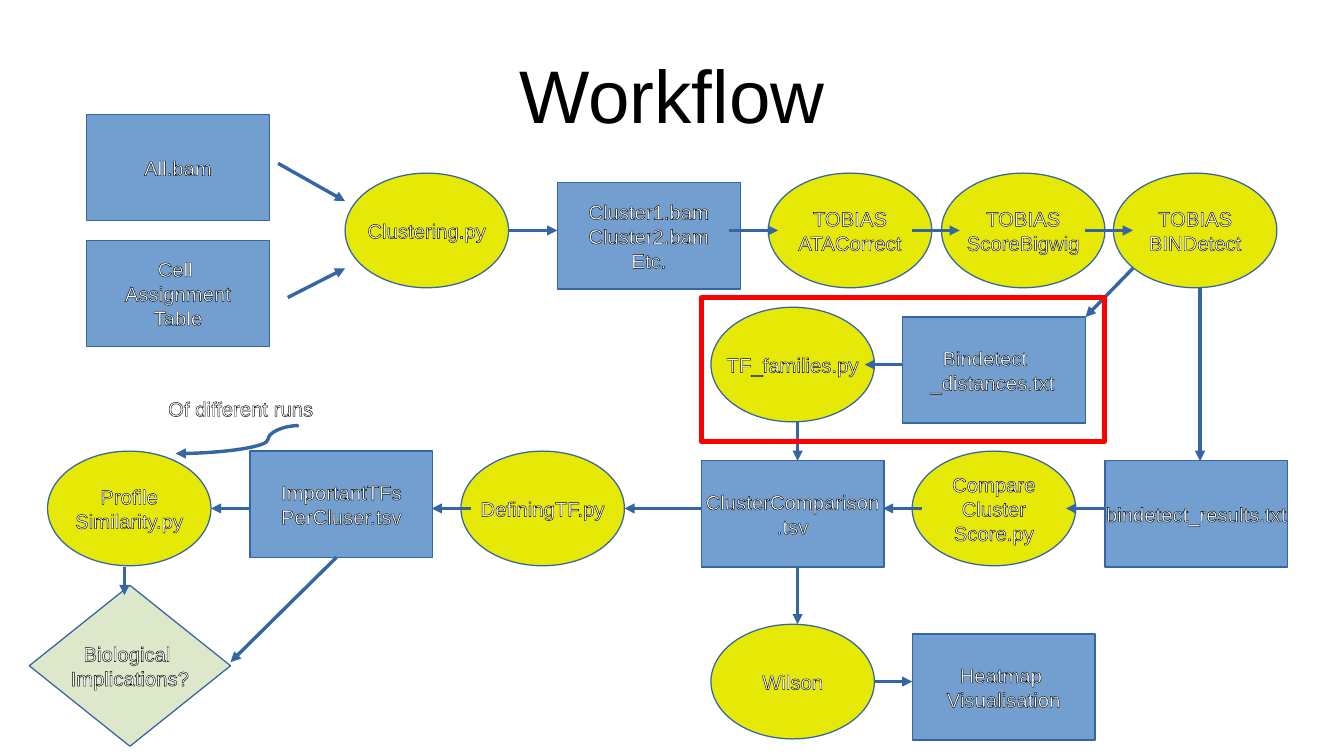
from lxml.etree import SubElement
from pptx import Presentation
from pptx.dml.color import RGBColor
from pptx.enum.shapes import MSO_CONNECTOR, MSO_SHAPE
from pptx.enum.text import MSO_ANCHOR, PP_ALIGN
from pptx.oxml.ns import qn
from pptx.util import Inches, Pt

# Content: left, top, text
TITLE = "Workflow"
FILES = [
    (0.71, 0.94, "All.bam"),
    (0.71, 1.97, "Cell \nAssignment\nTable"),
    (4.57, 1.5, "Cluster1.bam\nCluster2.bam\nEtc."),
    (9.06, 3.78, "bindetect_results.txt"),
    (5.75, 3.78, "ClusterComparison\n.tsv"),
    (7.48, 5.2, "Heatmap \nVisualisation"),
    (2.05, 3.7, "ImportantTFs\nPerCluser.tsv"),
]
DISTANCES = (7.4, 2.6, "Bindetect\n_distances.txt")
INDENTS = (0.23, 0.13)
TOOLS = [
    (2.83, 1.42, "Clustering.py"),
    (6.3, 1.42, "TOBIAS\nATACorrect"),
    (7.72, 1.42, "TOBIAS\nScoreBigwig"),
    (9.13, 1.42, "TOBIAS\nBINDetect"),
    (7.48, 3.7, "Compare\nCluster\nScore.py"),
    (5.83, 5.12, "Wilson"),
    (3.78, 3.7, "DefiningTF.py"),
    (5.83, 2.52, "TF_families.py"),
    (0.39, 3.7, "Profile\nSimilarity.py"),
]
GOAL = (0.24, 4.8, "Biological \nImplications?")
NOTE = "Of different runs"

# Arrows: from x, y to x, y
ARROWS = [
    (2.28, 1.34, 2.83, 1.65), (2.36, 2.44, 2.83, 2.2),
    (4.17, 1.89, 4.57, 1.89), (5.98, 1.89, 6.38, 1.89),
    (7.48, 1.89, 7.87, 1.89), (8.9, 1.89, 9.29, 1.89),
    (9.84, 2.36, 9.84, 3.78), (9.29, 2.2, 8.9, 2.6),
    (7.4, 2.99, 7.09, 2.99), (6.54, 3.46, 6.54, 3.78),
    (9.06, 4.17, 8.74, 4.17), (7.56, 4.17, 7.24, 4.17),
    (5.75, 4.17, 5.12, 4.17), (3.86, 4.17, 3.54, 4.17),
    (2.05, 4.17, 1.73, 4.17), (6.54, 4.65, 6.54, 5.12),
    (7.17, 5.59, 7.48, 5.59), (1.02, 4.65, 1.02, 4.88),
    (2.76, 4.57, 1.89, 5.43),
]
CURVE = (2.45, 3.49, 1.44, 3.72)

FILE_SIZE, TOOL_SIZE, GOAL_SIZE = (1.5, 0.87), (1.34, 0.94), (1.65, 1.32)
BLUE, YELLOW, GREEN, EDGE = "729FCF", "E6E905", "DDE8CB", "3465A4"

deck = Presentation()
deck.slide_width, deck.slide_height = Inches(11.02), Inches(6.2)
slide = deck.slides.add_slide(deck.slide_layouts[6])
shapes = slide.shapes


def color(code):
    return RGBColor.from_string(code)


def label(frame, text, align=PP_ALIGN.CENTER):
    """White 12 pt text with a thin black outline."""
    frame.text = text
    frame.word_wrap = False
    for par in frame.paragraphs:
        par.alignment = align
        for run in par.runs:
            run.font.size, run.font.name = Pt(12), "Arial"
            run.font.color.rgb = color("FFFFFF")
            props = run._r.get_or_add_rPr()
            line = SubElement(props, qn("a:ln"), w=str(Pt(0.75)))
            fill = SubElement(line, qn("a:solidFill"))
            SubElement(fill, qn("a:srgbClr"), val="000000")
            props.insert(0, line)


def node(kind, size, fill, left, top, text):
    box = shapes.add_shape(kind, *map(Inches, (left, top, *size)))
    box.shadow.inherit = False
    box.fill.solid()
    box.fill.fore_color.rgb = color(fill)
    box.line.color.rgb = color(EDGE)
    box.line.width = Pt(0)
    box.text_frame.vertical_anchor = MSO_ANCHOR.MIDDLE
    label(box.text_frame, text)
    return box


def arrow(kind, ends):
    link = shapes.add_connector(kind, *map(Inches, ends))
    link.line.color.rgb = color(EDGE)
    link.line.width = Pt(0)
    props = link._element.spPr
    SubElement(props.find(qn("a:ln")), qn("a:tailEnd"), type="triangle")
    SubElement(props, qn("a:effectLst"))
    return link


# Title
head = shapes.add_textbox(*map(Inches, (0.55, 0.25, 9.92, 1.04))).text_frame
head.word_wrap = True
head.vertical_anchor = MSO_ANCHOR.MIDDLE
head.margin_left = head.margin_right = head.margin_top = head.margin_bottom = 0
head.text = TITLE
head.paragraphs[0].alignment = PP_ALIGN.CENTER
font = head.paragraphs[0].runs[0].font
font.size, font.name, font.color.rgb = Pt(44), "Arial", color("000000")

# Files, tools and goal
for item in FILES:
    node(MSO_SHAPE.RECTANGLE, FILE_SIZE, BLUE, *item)
for item in TOOLS:
    node(MSO_SHAPE.OVAL, TOOL_SIZE, YELLOW, *item)
node(MSO_SHAPE.DIAMOND, GOAL_SIZE, GREEN, *GOAL)

# File with indented lines
frame = node(MSO_SHAPE.RECTANGLE, FILE_SIZE, BLUE, *DISTANCES).text_frame
frame.word_wrap = True
for par, indent in zip(frame.paragraphs, INDENTS):
    par.alignment = PP_ALIGN.LEFT
    par._p.get_or_add_pPr().set("marL", str(Inches(indent)))

# Arrows
for ends in ARROWS:
    arrow(MSO_CONNECTOR.STRAIGHT, ends)
bend = arrow(MSO_CONNECTOR.CURVE, CURVE)
shape = bend._element.spPr.find(qn("a:prstGeom"))
SubElement(shape.find(qn("a:avLst")), qn("a:gd"), name="adj1", fmla="val 25000")

# Note on the curved arrow
note = shapes.add_textbox(*map(Inches, (1.28, 3.2, 1.39, 0.29)))
label(note.text_frame, NOTE, PP_ALIGN.LEFT)

# Red frame
mark = shapes.add_shape(MSO_SHAPE.RECTANGLE, *map(Inches, (5.75, 2.44, 3.31, 1.18)))
mark.shadow.inherit = False
mark.fill.background()
mark.line.color.rgb = color("FF0000")
mark.line.width = Pt(2.83)

deck.save("out.pptx")
